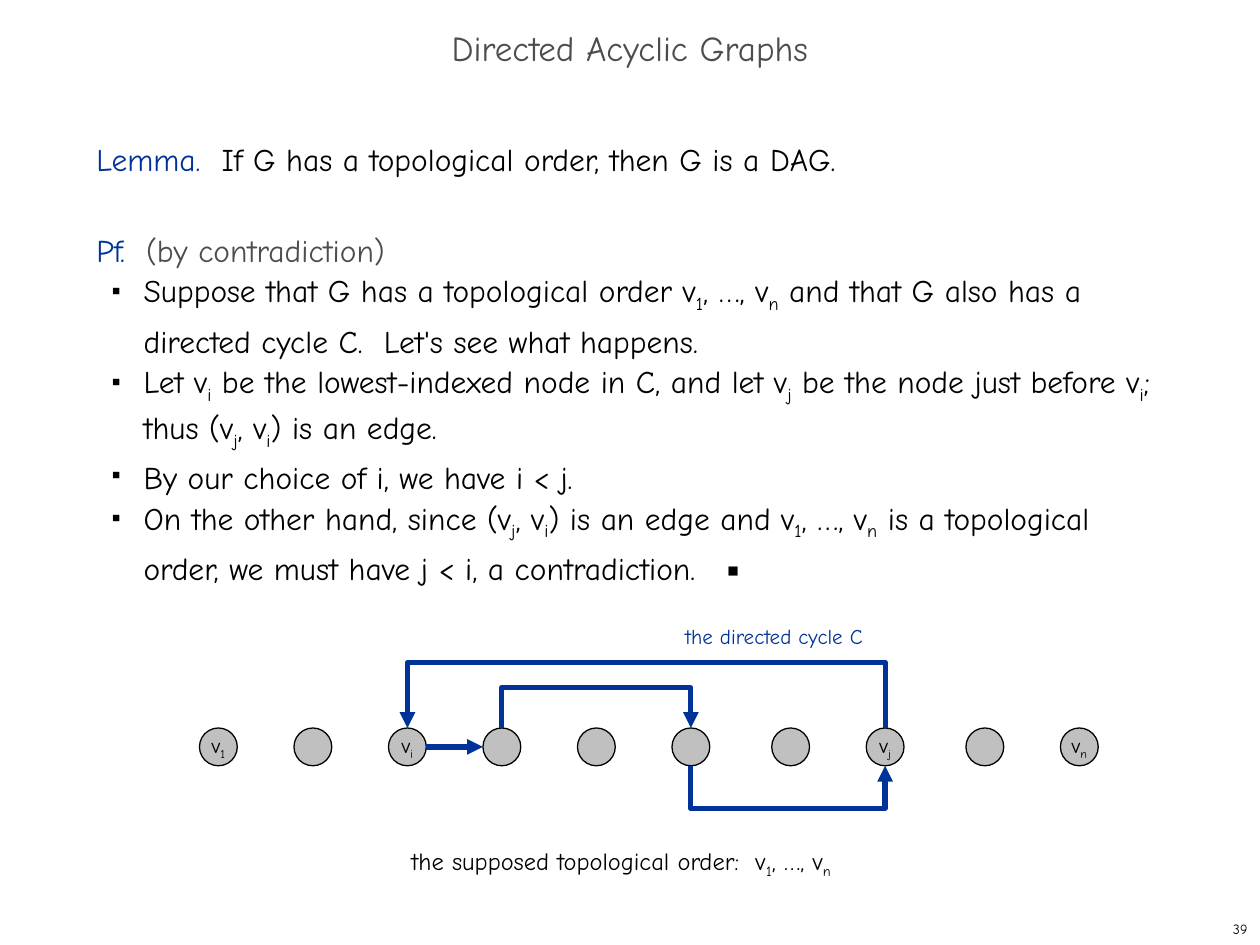
from dataclasses import dataclass

from lxml import etree
from pptx import Presentation
from pptx.dml.color import RGBColor
from pptx.enum.shapes import MSO_CONNECTOR, MSO_SHAPE
from pptx.enum.text import MSO_ANCHOR, MSO_AUTO_SIZE, PP_ALIGN
from pptx.oxml.ns import qn
from pptx.util import Pt

LEFT, CENTER, RIGHT = PP_ALIGN.LEFT, PP_ALIGN.CENTER, PP_ALIGN.RIGHT
TOP, MIDDLE = MSO_ANCHOR.TOP, MSO_ANCHOR.MIDDLE
FIXED, GROW = MSO_AUTO_SIZE.NONE, MSO_AUTO_SIZE.SHAPE_TO_FIT_TEXT
OVAL, STRAIGHT = MSO_SHAPE.OVAL, MSO_CONNECTOR.STRAIGHT


@dataclass(frozen=True)
class Theme:
    font: str = "Comic Neue"
    ink: str = "000000"
    gray: str = "4D4D4D"
    blue: str = "003399"
    disc: str = "C0C0C0"
    head: int = 20
    body: int = 18
    note: int = 14
    label: int = 12
    tiny: int = 8


def add_xml(parent, tag, **attrs):
    return etree.SubElement(parent, qn(tag), attrs)


def apply(target, values):
    for name, value in values.items():
        setattr(target, name, value)


class Deck:
    """Holds the theme and the slide being drawn; lengths are points."""

    def __init__(self, theme, slide):
        self.theme = theme
        self.slide = slide
        self.shapes = slide.shapes

    def place(self, shape, box):
        apply(shape, dict(zip(("left", "top", "width", "height"), map(Pt, box))))

    def frame(self, shape, **values):
        form = {"word_wrap": False, "auto_size": FIXED, "vertical_anchor": TOP}
        apply(shape.text_frame, form | values)
        return shape.text_frame

    def add_runs(self, para, text, size, color=None):
        """Add text in which an underscore lowers the next character."""
        first, *rest = text.split("_")
        parts = [(first, False)]
        for part in rest:
            parts += [(part[0], True), (part[1:], False)]
        for words, low in parts:
            if not words:
                continue
            run = para.add_run()
            run.text = words
            apply(run.font, {"name": self.theme.font, "size": Pt(size)})
            run.font.color.rgb = RGBColor.from_string(color or self.theme.ink)
            if low:
                run._r.get_or_add_rPr().set("baseline", "-25000")

    def title(self, text, box):
        shape = self.shapes.title
        self.place(shape, box)
        para = self.frame(shape, word_wrap=True, vertical_anchor=MIDDLE).paragraphs[0]
        apply(para, {"alignment": CENTER, "line_spacing": 0.7})
        self.add_runs(para, text, self.theme.head, self.theme.gray)

    def text(self, text, box, size, color=None, align=LEFT, **values):
        shape = self.shapes.add_textbox(*map(Pt, box))
        para = self.frame(shape, **values).paragraphs[0]
        para.alignment = align
        self.add_runs(para, text, size, color)

    def body(self, items, box):
        """Each item is (bulleted, space before, colored parts)."""
        shape = self.shapes.add_textbox(*map(Pt, box))
        frame = self.frame(shape, word_wrap=True)
        for i, (dotted, gap, parts) in enumerate(items):
            para = frame.add_paragraph() if i else frame.paragraphs[0]
            apply(para, {"line_spacing": Pt(26), "space_before": Pt(gap)})
            if dotted:
                self.bullet(para)
            for text, color in parts:
                self.add_runs(para, text, self.theme.body, color)

    def bullet(self, para):
        para.level = 1
        props = para._p.get_or_add_pPr()
        props.set("marL", str(Pt(27)))
        props.set("indent", str(Pt(-18)))
        add_xml(add_xml(props, "a:buClr"), "a:srgbClr", val=self.theme.ink)
        add_xml(props, "a:buSzPct", val="35000")
        add_xml(props, "a:buChar", char="■")

    def node(self, x, y, size, text):
        shape = self.shapes.add_shape(OVAL, *map(Pt, (x, y, size, size)))
        shape.shadow.inherit = False
        shape.fill.solid()
        shape.fill.fore_color.rgb = RGBColor.from_string(self.theme.disc)
        shape.line.color.rgb = RGBColor.from_string(self.theme.ink)
        shape.line.width = Pt(0.75)
        para = self.frame(shape, vertical_anchor=MIDDLE).paragraphs[0]
        para.alignment = CENTER
        self.add_runs(para, text, self.theme.label)

    def stroke(self, shape):
        shape.line.color.rgb = RGBColor.from_string(self.theme.blue)
        shape.line.width = Pt(3)
        add_xml(shape._element.spPr.get_or_add_ln(), "a:tailEnd", type="triangle")

    def arrow(self, start, end):
        line = self.shapes.add_connector(STRAIGHT, *map(Pt, start + end))
        self.stroke(line)
        add_xml(line._element.spPr, "a:effectLst")

    def elbow(self, start, end, track, y):
        """Draw an arrow between two x positions at y, by way of a level track."""
        points = [(start, y), (start, track), (end, track), (end, y)]
        first, *rest = [(Pt(a), Pt(b)) for a, b in points]
        build = self.shapes.build_freeform(*first)
        build.add_line_segments(rest, close=False)
        shape = build.convert_to_shape()
        shape.shadow.inherit = False
        shape.fill.background()
        self.stroke(shape)


def draw_graph(deck):
    size, top = 21.6, 416
    mid, base = top + size / 2, top + size
    labels = {0: "v_1", 2: "v_i", 7: "v_j", 9: "v_n"}
    # The last two pairs of nodes are each set 3 points further along.
    lefts = [114 + 54 * i + 3 * (i >= 6) + 3 * (i >= 8) for i in range(10)]
    for i, x in enumerate(lefts):
        deck.node(x, top, size, labels.get(i, ""))
    mids = [x + size / 2 for x in lefts]
    deck.arrow((lefts[2] + size, mid), (lefts[3], mid))
    for start, end, track, y in [(7, 2, 378.7, top), (3, 5, 393, top), (5, 7, 462, base)]:
        deck.elbow(mids[start], mids[end], track, y)


def main():
    theme = Theme()
    show = Presentation()
    apply(show, {"slide_width": Pt(720), "slide_height": Pt(540)})
    deck = Deck(theme, show.slides.add_slide(show.slide_layouts[5]))

    deck.title("Directed Acyclic Graphs", (0, 12, 720, 36))
    points = [
        "Suppose that G has a topological order v_1, …, v_n and that G also has a "
        "directed cycle C.  Let's see what happens.",
        "Let v_i be the lowest-indexed node in C, and let v_j be the node just "
        "before v_i; thus (v_j, v_i) is an edge.",
        "By our choice of i, we have i < j.",
        "On the other hand, since (v_j, v_i) is an edge and v_1, …, v_n is a "
        "topological order, we must have j < i, a contradiction.   ▪",
    ]
    lemma = [("Lemma.  ", theme.blue),
             ("If G has a topological order, then G is a DAG.", theme.ink)]
    proof = [("Pf.  ", theme.blue), ("(by contradiction)", theme.gray)]
    items = [(False, 0, lemma), (False, 26, proof)]
    items += [(True, 0, [(point, theme.ink)]) for point in points]
    deck.body(items, (48, 72, 618, 426))

    draw_graph(deck)
    deck.text("the supposed topological order:  v_1, …, v_n", (228, 480, 275, 24),
              theme.note, auto_size=GROW)
    deck.text("the directed cycle C", (384.5, 353, 128, 21.6),
              theme.label, theme.blue, auto_size=GROW)
    deck.text("39", (570, 522, 150, 18), theme.tiny, align=RIGHT,
              vertical_anchor=MIDDLE)
    show.save("out.pptx")


if __name__ == "__main__":
    main()
